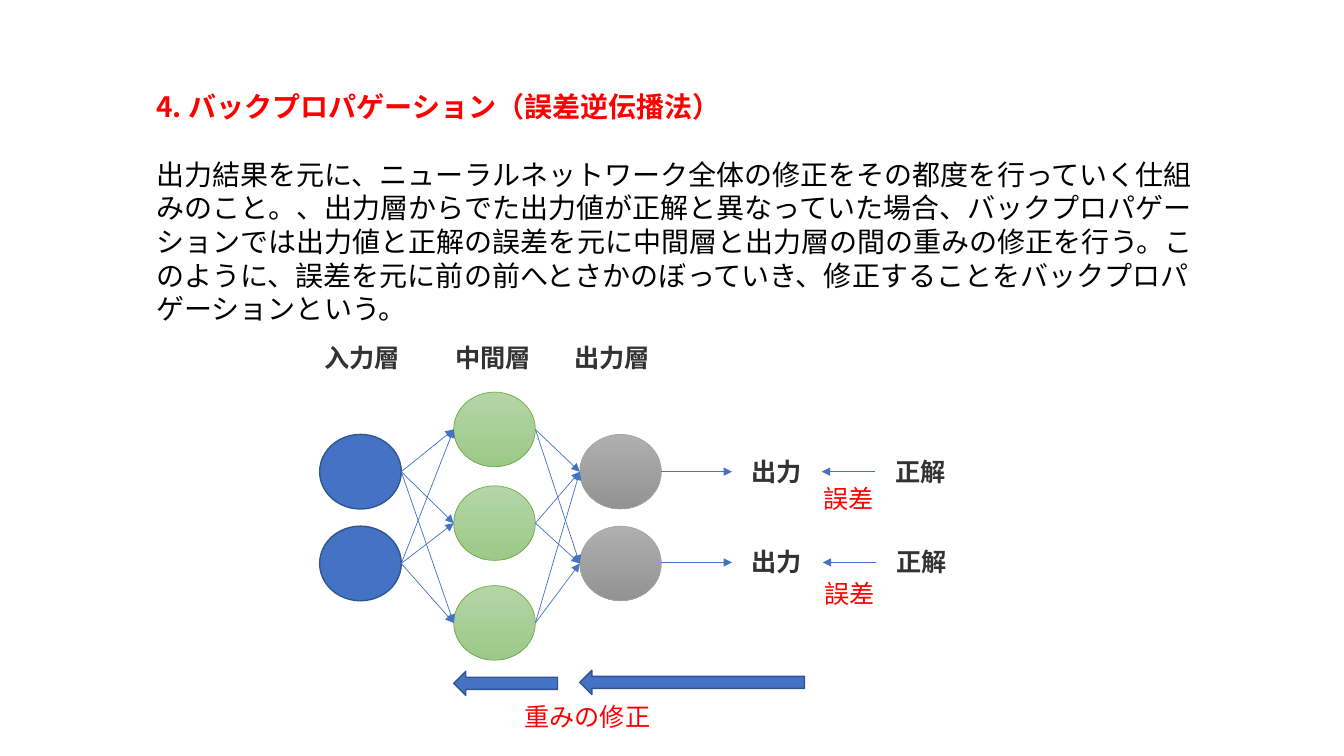
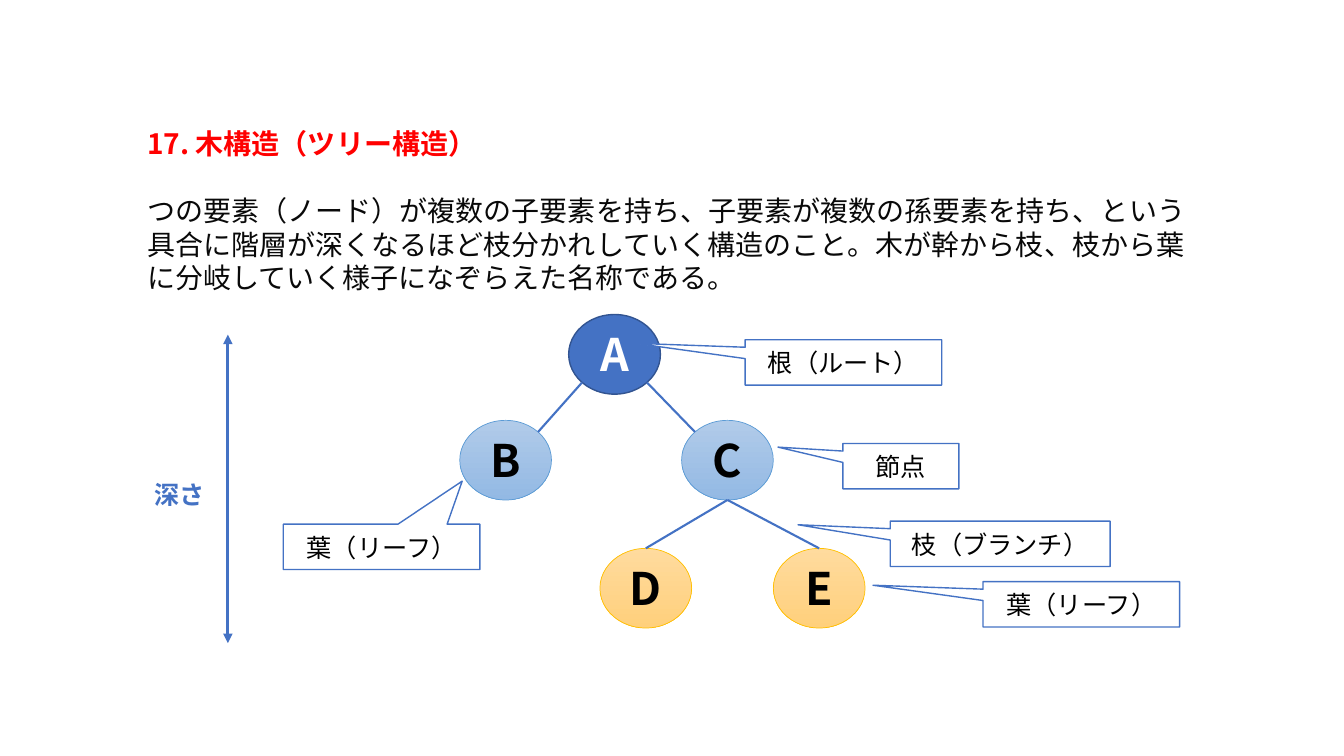
from math import sqrt

from lxml.etree import SubElement
from pptx import Presentation
from pptx.dml.color import RGBColor
from pptx.enum.shapes import MSO_CONNECTOR, MSO_SHAPE
from pptx.enum.text import MSO_ANCHOR, MSO_AUTO_SIZE, PP_ALIGN
from pptx.oxml.ns import qn
from pptx.util import Emu, Pt

# Shared look
FONT = "Noto Sans CJK JP"
LATIN_FONT = "Roboto"
RED = RGBColor(0xFF, 0x00, 0x00)
BLACK = RGBColor(0x00, 0x00, 0x00)
NEAR_BLACK = RGBColor(0x09, 0x09, 0x09)
DARK_GRAY = RGBColor(0x33, 0x33, 0x33)
WHITE = RGBColor(0xFF, 0xFF, 0xFF)
BLUE = RGBColor(0x44, 0x72, 0xC4)
NAVY = RGBColor(0x32, 0x54, 0x91)
GREEN = RGBColor(0x70, 0xAD, 0x47)
GREEN_TOP = RGBColor(0xB5, 0xD5, 0xA7)
GREEN_END = RGBColor(0x9C, 0xC9, 0x87)
GRAY = RGBColor(0xA5, 0xA5, 0xA5)
GRAY_TOP = RGBColor(0xAF, 0xAF, 0xAF)
GRAY_END = RGBColor(0x93, 0x93, 0x93)
SKY = RGBColor(0x5B, 0x9B, 0xD5)
SKY_TOP = RGBColor(0xB1, 0xCB, 0xE9)
SKY_END = RGBColor(0x93, 0xB9, 0xE4)
GOLD = RGBColor(0xFF, 0xC0, 0x00)
GOLD_TOP = RGBColor(0xFF, 0xDB, 0x9E)
GOLD_END = RGBColor(0xFF, 0xD0, 0x7C)

# Node styles: fill colours from top to bottom, outline, outline width
SOLID_BLUE = ((BLUE,), NAVY, 1)
SOFT_GREEN = ((GREEN_TOP, GREEN_END), GREEN, 0.5)
SOFT_GRAY = ((GRAY_TOP, GRAY_END), GRAY, 0.5)
SOFT_SKY = ((SKY_TOP, SKY_END), SKY, 0.5)
SOFT_GOLD = ((GOLD_TOP, GOLD_END), GOLD, 0.5)
WHITE_BOX = ((WHITE,), BLUE, 1)

# Points on a node's edge, in half widths and half heights from its centre
DIAGONAL = sqrt(0.5)
TOP, BOTTOM, LEFT, RIGHT = (0, -1), (0, 1), (-1, 0), (1, 0)
TOP_LEFT, TOP_RIGHT = (-DIAGONAL, -DIAGONAL), (DIAGONAL, -DIAGONAL)
BOTTOM_LEFT, BOTTOM_RIGHT = (-DIAGONAL, DIAGONAL), (DIAGONAL, DIAGONAL)

LABEL_HEIGHT = 40


def px(length):
    """One px is a hundredth of an inch."""
    return Emu(round(length * 9144))


def remove_bullet(paragraph):
    properties = paragraph._p.get_or_add_pPr()
    properties.set("marL", "0")
    properties.set("indent", "0")
    SubElement(properties, qn("a:buNone"))


def write(frame, text, size, color, bold=False, align=PP_ALIGN.CENTER, latin=FONT):
    frame.text = text
    frame.word_wrap = True
    frame.auto_size = MSO_AUTO_SIZE.NONE
    paragraph = frame.paragraphs[0]
    remove_bullet(paragraph)
    paragraph.alignment = align
    paragraph.line_spacing = Pt(round(size * 1.2))
    paragraph.space_before = Pt(0)
    for run in paragraph.runs:
        font = run.font
        font.size, font.bold, font.name = Pt(size), bold, latin
        font.color.rgb = color
        SubElement(font._element, qn("a:ea"), typeface=FONT)


def place(shape, left, top, width, height):
    shape.left, shape.top = px(left), px(top)
    shape.width, shape.height = px(width), px(height)


def add_topic(prs, heading, explanation, left, top, lines, color, latin=FONT):
    """A slide with a red heading and the explanation below it."""
    slide = prs.slides.add_slide(prs.slide_layouts[1])
    title, body = slide.shapes.title, slide.placeholders[1]
    place(title, left, top, 1060, 44)
    place(body, left, top + 67, 1060, 10 + lines * 34)
    title.text_frame.vertical_anchor = MSO_ANCHOR.TOP
    write(title.text_frame, heading, 20, RED, True, PP_ALIGN.LEFT)
    write(body.text_frame, explanation, 20, color, False, PP_ALIGN.LEFT, latin)
    return slide


def add_label(slide, text, left, top, width, color=DARK_GRAY, bold=True, **style):
    box = slide.shapes.add_textbox(px(left), px(top), px(width), px(LABEL_HEIGHT))
    write(box.text_frame, text, 18, color, bold, **style)


def add_figure(slide, preset, left, top, width, height, style):
    colors, outline, weight = style
    figure = slide.shapes.add_shape(preset, px(left), px(top), px(width), px(height))
    figure.shadow.inherit = False
    if len(colors) == 1:
        figure.fill.solid()
        figure.fill.fore_color.rgb = colors[0]
    else:
        figure.fill.gradient()
        figure.fill.gradient_angle = 270
        for position, (stop, color) in enumerate(zip(figure.fill.gradient_stops, colors)):
            stop.position = position
            stop.color.rgb = color
    figure.line.color.rgb = outline
    figure.line.width = Pt(weight)
    return figure


def add_caption(figure, text, size, color, bold):
    frame = figure.text_frame
    frame.margin_left = frame.margin_right = 0
    frame.margin_top = frame.margin_bottom = 0
    frame.vertical_anchor = MSO_ANCHOR.MIDDLE
    write(frame, text, size, color, bold)


def add_callout(slide, text, left, top, width, tip):
    callout = add_figure(slide, MSO_SHAPE.RECTANGULAR_CALLOUT, left, top, width, 45, WHITE_BOX)
    callout.adjustments[0], callout.adjustments[1] = tip
    add_caption(callout, text, 18, BLACK, False)


def add_line(slide, start, end, weight, heads=()):
    """A straight line; heads may hold "headEnd" (start) and "tailEnd" (end)."""
    line = slide.shapes.add_connector(
        MSO_CONNECTOR.STRAIGHT, *(px(value) for value in (*start, *end)))
    line.line.color.rgb = BLUE
    line.line.width = Pt(weight)
    for head in heads:
        SubElement(line.line._get_or_add_ln(), qn(f"a:{head}"), type="triangle")
    SubElement(line._element.spPr, qn("a:effectLst"))


def edge_point(corner, size, direction):
    """The point of an ellipse that lies in the given direction."""
    return tuple(start + length / 2 * (1 + step)
                 for start, length, step in zip(corner, size, direction))


def backpropagation_slide(prs):
    slide = add_topic(
        prs, "4. バックプロパゲーション（誤差逆伝播法）",
        "出力結果を元に、ニューラルネットワーク全体の修正をその都度を行っていく仕組みのこと。、"
        "出力層からでた出力値が正解と異なっていた場合、バックプロパゲーションでは出力値と正解の"
        "誤差を元に中間層と出力層の間の重みの修正を行う。このように、誤差を元に前の前へと"
        "さかのぼっていき、修正することをバックプロパゲーションという。",
        145, 84, 5, BLACK, LATIN_FONT)

    # Layers: name, label left, node left, node tops, style
    neuron = (81, 74)
    layers = [
        ("入力層", 283, 317, (431, 522), SOLID_BLUE),
        ("中間層", 413, 450, (389, 482, 581), SOFT_GREEN),
        ("出力層", 531, 575, (431, 522), SOFT_GRAY),
    ]
    for name, label_left, left, tops, style in layers:
        add_label(slide, name, label_left, 334, 152)
        for top in tops:
            add_figure(slide, MSO_SHAPE.OVAL, left, top, *neuron, style)

    # Every neuron feeds every neuron of the next layer
    for (_, _, left, tops, _), (_, _, next_left, next_tops, _) in zip(layers, layers[1:]):
        for top in tops:
            for next_top in next_tops:
                add_line(slide, edge_point((left, top), neuron, RIGHT),
                         edge_point((next_left, next_top), neuron, LEFT), 0.5, ["tailEnd"])

    # Outputs against correct answers: row centre, shift to the right, error top
    for center, shift, error_top in [(468, 0, 474), (558, 1, 568)]:
        add_line(slide, (656, center), (726, center), 0.5, ["tailEnd"])
        add_label(slide, "出力", 725, center - 21, 90)
        add_line(slide, (868 + shift, center), (815 + shift, center), 0.5, ["tailEnd"])
        add_label(slide, "正解", 868 + shift, center - 21, 90)
        add_label(slide, "誤差", 796 + shift, error_top, 91, RED, False)

    # Weights are corrected backwards
    for left, top, width in [(575, 665, 223), (450, 666, 103)]:
        add_figure(slide, MSO_SHAPE.LEFT_ARROW, left, top, width, 24, SOLID_BLUE)
    add_label(slide, "重みの修正", 490, 690, 185, RED, False)


def tree_slide(prs):
    slide = add_topic(
        prs, "17. 木構造（ツリー構造）",
        "つの要素（ノード）が複数の子要素を持ち、子要素が複数の孫要素を持ち、という具合に"
        "階層が深くなるほど枝分かれしていく構造のこと。木が幹から枝、枝から葉に分岐していく"
        "様子になぞらえた名称である。",
        136, 120, 3, NEAR_BLACK)

    # Tree nodes
    node = (91, 79)
    nodes = {
        "A": ((564, 312), SOLID_BLUE, WHITE),
        "B": ((456, 417), SOFT_SKY, BLACK),
        "C": ((676, 417), SOFT_SKY, BLACK),
        "D": ((595, 544), SOFT_GOLD, BLACK),
        "E": ((767, 544), SOFT_GOLD, BLACK),
    }
    for name, (corner, style, color) in nodes.items():
        figure = add_figure(slide, MSO_SHAPE.OVAL, *corner, *node, style)
        add_caption(figure, name, 32, color, True)

    # Branches
    branches = [
        ("A", BOTTOM_LEFT, "B", TOP_RIGHT),
        ("A", BOTTOM_RIGHT, "C", TOP_LEFT),
        ("C", BOTTOM, "D", TOP),
        ("C", BOTTOM, "E", TOP),
    ]
    for parent, leave, child, arrive in branches:
        add_line(slide, edge_point(nodes[parent][0], node, leave),
                 edge_point(nodes[child][0], node, arrive), 1.5)

    # Names of the parts
    for text, left, top, width, tip in [
        ("根（ルート）", 739, 337, 195, (-1.06, -0.42)),
        ("葉（リーフ）", 975, 577, 195, (-1.06, -0.42)),
        ("葉（リーフ）", 281, 520, 195, (0.41, -1.45)),
        ("節点", 836, 440, 115, (-1.06, -0.42)),
        ("枝（ブランチ）", 883, 517, 218, (-0.92, -0.42)),
    ]:
        add_callout(slide, text, left, top, width, tip)

    # Depth scale
    add_line(slide, (226, 332), (226, 638), 2.25, ["headEnd", "tailEnd"])
    add_label(slide, "深さ", 143, 470, 79, BLUE, align=PP_ALIGN.LEFT, latin=LATIN_FONT)


def main():
    prs = Presentation()
    prs.slide_width, prs.slide_height = px(1333), px(750)
    backpropagation_slide(prs)
    tree_slide(prs)
    prs.save("out.pptx")


if __name__ == "__main__":
    main()
